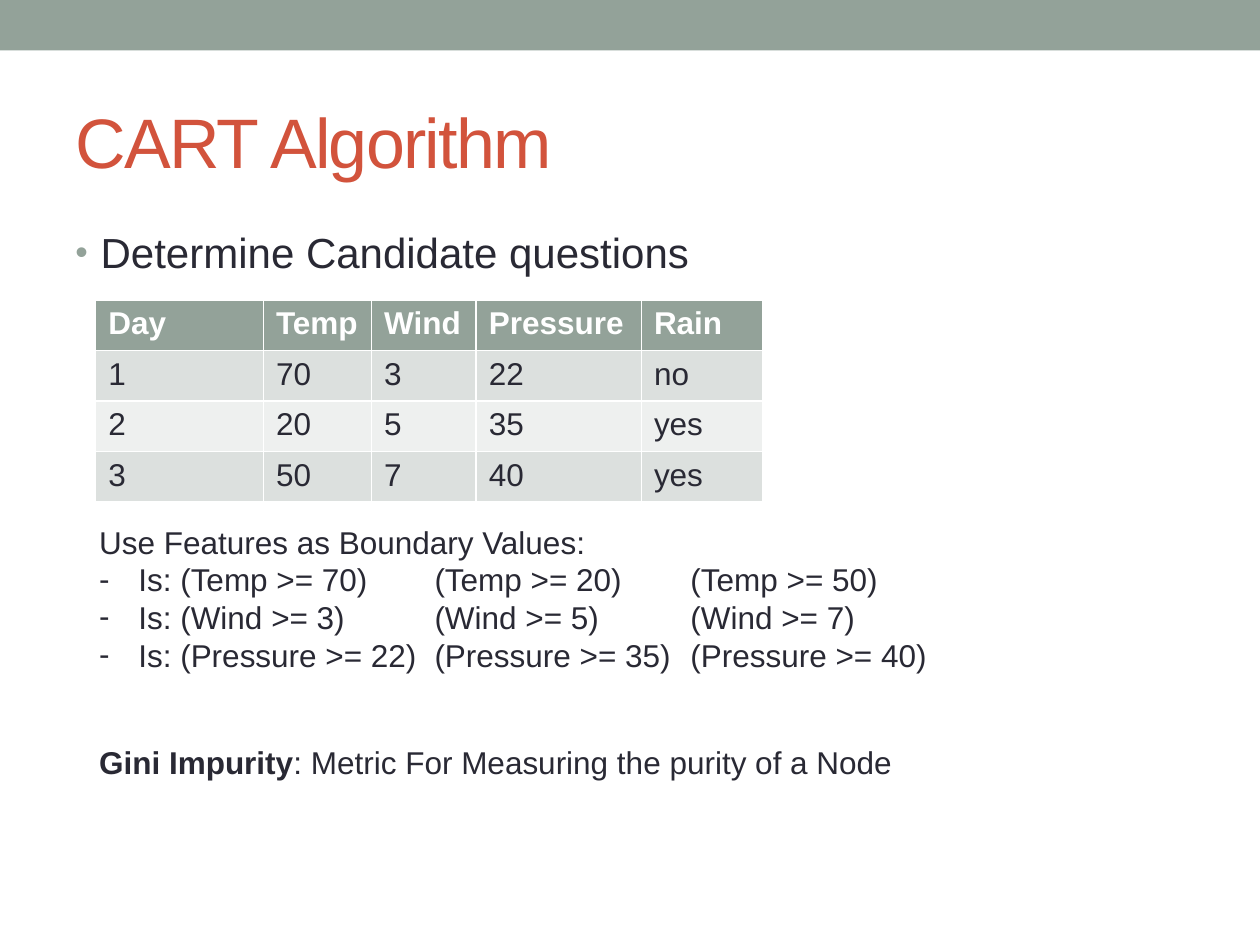
from lxml import etree
from pptx import Presentation
from pptx.dml.color import RGBColor
from pptx.enum import shapes, text
from pptx.oxml import ns
from pptx.util import Cm, Pt

SAGE, INK, RUST, WHITE = "93A299", "292934", "D2533C", "FFFFFF"


def format_runs(paragraph, size, color, bold=False):
    for run in paragraph.runs:
        run.font.name = "Arial"
        run.font.size = Pt(size)
        run.font.bold = bold
        run.font.color.rgb = RGBColor.from_string(color)


def add_bullet(paragraph, char, indent, color=INK, percent=100, stops=()):
    props = paragraph._p.get_or_add_pPr()
    props.set("marL", str(Cm(indent)))
    props.set("indent", str(-Cm(indent)))
    for tag, attribute, value in (("a:buSzPct", "val", percent * 1000),
                                  ("a:buFont", "typeface", "Arial"),
                                  ("a:buChar", "char", char)):
        etree.SubElement(props, ns.qn(tag)).set(attribute, str(value))
    bullet_color = etree.Element(ns.qn("a:buClr"))
    etree.SubElement(bullet_color, ns.qn("a:srgbClr")).set("val", color)
    props.find(ns.qn("a:buSzPct")).addprevious(bullet_color)
    if stops:
        tabs = etree.SubElement(props, ns.qn("a:tabLst"))
        for stop in stops:
            etree.SubElement(tabs, ns.qn("a:tab"), pos=str(Cm(stop)), algn="l")


deck = Presentation()
deck.slide_width, deck.slide_height = Cm(25.4), Cm(19.05)
slide = deck.slides.add_slide(deck.slide_layouts[5])

banner = slide.shapes.add_shape(shapes.MSO_SHAPE.RECTANGLE, 0, 0, Cm(25.4), Cm(1.02))
banner.shadow.inherit = False
banner.fill.solid()
banner.fill.fore_color.rgb = RGBColor.from_string(SAGE)
banner.line.fill.background()

title = slide.shapes.title
title.left, title.top, title.width, title.height = Cm(1.27), Cm(1.47), Cm(22.86), Cm(2.74)
title.text_frame.text = "CART Algorithm"
title.text_frame.vertical_anchor = text.MSO_ANCHOR.MIDDLE
heading = title.text_frame.paragraphs[0]
heading.alignment = text.PP_ALIGN.LEFT
format_runs(heading, 40, RUST)
heading.runs[0]._r.get_or_add_rPr().set("spc", "-100")

topic = slide.shapes.add_textbox(Cm(1.27), Cm(4.45), Cm(22.86), Cm(1.4)).text_frame
topic.word_wrap = True
topic.text = "Determine Candidate questions"
topic.paragraphs[0].space_before = Pt(4.8)
format_runs(topic.paragraphs[0], 24, INK)
add_bullet(topic.paragraphs[0], "•", 0.51, SAGE, 85)

records = [
    ("Day", "Temp", "Wind", "Pressure", "Rain"),
    ("1", "70", "3", "22", "no"),
    ("2", "20", "5", "35", "yes"),
    ("3", "50", "7", "40", "yes"),
]
column_widths = (3.38, 2.18, 2.11, 3.33, 2.44)
weather = slide.shapes.add_table(len(records), len(column_widths), Cm(1.93), Cm(6.05),
                                 Cm(sum(column_widths)), Cm(3.88)).table
for column, width in zip(weather.columns, column_widths):
    column.width = Cm(width)
for r, record in enumerate(records):
    band = SAGE if r == 0 else ("EEF0EF", "DCE0DE")[r % 2]
    for c, value in enumerate(record):
        cell = weather.cell(r, c)
        cell.fill.solid()
        cell.fill.fore_color.rgb = RGBColor.from_string(band)
        cell.text_frame.text = value
        format_runs(cell.text_frame.paragraphs[0], 18, INK if r else WHITE, r == 0)

questions = slide.shapes.add_textbox(Cm(1.75), Cm(10.41), Cm(19.43), Cm(3.33)).text_frame
questions.word_wrap = True
questions.text = "Use Features as Boundary Values:"
for c, feature in enumerate(records[0][1:4], start=1):
    tests = [f"({feature} >= {record[c]})" for record in records[1:]]
    question = questions.add_paragraph()
    question.text = "Is: " + "\t".join(tests)
    add_bullet(question, "-", 0.79, stops=(6.76, 11.92))
for paragraph in questions.paragraphs:
    format_runs(paragraph, 18, INK)

gini = slide.shapes.add_textbox(Cm(1.75), Cm(14.86), Cm(18.03), Cm(1.02)).text_frame
gini.word_wrap = True
definition = gini.paragraphs[0]
for part in ("Gini Impurity", ": Metric For Measuring the purity of a Node"):
    definition.add_run().text = part
format_runs(definition, 18, INK)
definition.runs[0].font.bold = True

deck.save("out.pptx")
